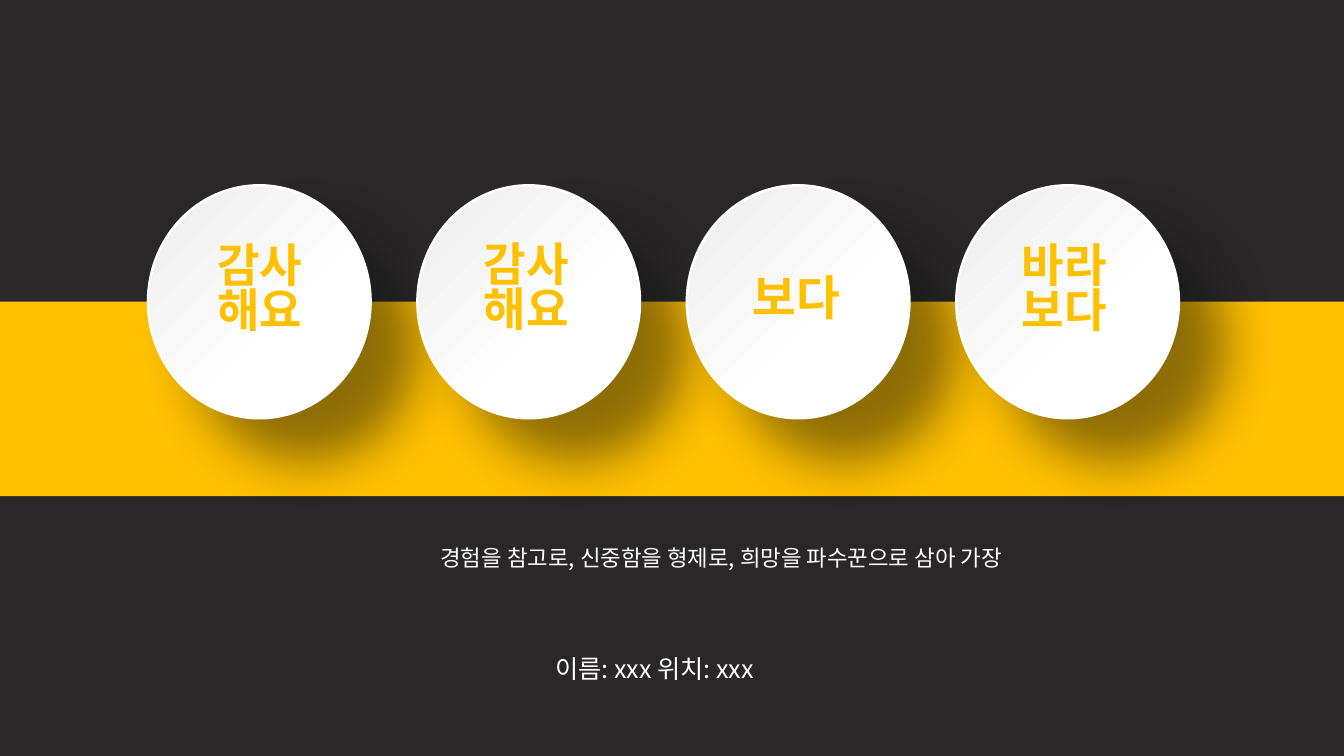
from dataclasses import dataclass

from lxml import etree
from pptx import Presentation
from pptx.dml.color import RGBColor
from pptx.enum.shapes import MSO_SHAPE as Shape
from pptx.enum.text import PP_ALIGN as Align
from pptx.oxml import parse_xml
from pptx.oxml.ns import nsdecls, qn
from pptx.util import Cm, Pt


@dataclass(frozen=True)
class Theme:
    font: str = "Noto Sans CJK KR"
    dark: str = "292727"
    amber: str = "FFC000"
    white: str = "FFFFFF"
    pale: str = "ECECEC"
    shadow: str = "0D0D0D"
    motto_size: float = 16
    signature_size: float = 18
    word_size: float = 33
    short_word_size: float = 34


theme = Theme()


def add_text(text, *, left, top, width, height, size, color=theme.white,
             bold=False, align=Align.LEFT, spacing=1.0):
    frame = slide.shapes.add_textbox(Cm(left), Cm(top), Cm(width), Cm(height)).text_frame
    frame.word_wrap = True
    paragraph = frame.paragraphs[0]
    paragraph.alignment = align
    paragraph.line_spacing = spacing
    run = paragraph.add_run()
    run.text = text
    run.font.name = theme.font
    run.font.size = Pt(size)
    run.font.bold = bold
    run.font.color.rgb = RGBColor.from_string(color)
    east_asian = etree.SubElement(run.font._element, qn("a:ea"))
    east_asian.set("typeface", theme.font)


def add_disc(left, top, width, height):
    disc = slide.shapes.add_shape(Shape.OVAL, Cm(left), Cm(top), Cm(width), Cm(height))
    # White to pale grey, towards the upper left
    stops = "".join(
        f'<a:gs pos="{percent * 1000}"><a:srgbClr val="{color}"/></a:gs>'
        for percent, color in ((0, theme.white), (36, theme.white), (100, theme.pale)))
    disc.line.color.rgb = RGBColor.from_string(theme.white)
    disc.line.width = Pt(1.75)
    outline = disc.line._get_or_add_ln()
    outline.addprevious(parse_xml(
        f'<a:gradFill {nsdecls("a")} rotWithShape="1"><a:gsLst>{stops}</a:gsLst>'
        f'<a:lin ang="{225 * 60000}" scaled="0"/></a:gradFill>'))
    # Soft shadow to the lower right
    outline.addnext(parse_xml(
        f'<a:effectLst {nsdecls("a")}><a:outerShdw blurRad="{Pt(37)}" dist="{Pt(44)}" '
        f'dir="{42 * 60000}" algn="tl" rotWithShape="0"><a:srgbClr val="{theme.shadow}">'
        f'<a:alpha val="45000"/></a:srgbClr></a:outerShdw></a:effectLst>'))


# Slide and background
deck = Presentation()
deck.slide_width, deck.slide_height = Cm(33.87), Cm(19.05)
slide = deck.slides.add_slide(deck.slide_layouts[6])
slide.background.fill.solid()
slide.background.fill.fore_color.rgb = RGBColor.from_string(theme.dark)

# Amber band
band = slide.shapes.add_shape(Shape.ROUNDED_RECTANGLE, Cm(-0.74), Cm(7.6), Cm(35.36), Cm(4.9))
band.adjustments[0] = 0
band.fill.solid()
band.fill.fore_color.rgb = RGBColor.from_string(theme.amber)
band.line.fill.background()
band.shadow.inherit = False

# Motto
add_text("경험을 참고로, 신중함을 형제로, 희망을 파수꾼으로 삼아 가장",
         left=9.35, top=13.59, width=17.65, height=0.94,
         size=theme.motto_size, align=Align.CENTER)

# Four evenly spaced discs
first_disc, disc_step = 3.73, 6.79
for index in range(4):
    add_disc(first_disc + index * disc_step, 4.67, 5.61, 5.87)

# Name and position
add_text("이름: xxx 위치: xxx", left=13.74, top=16.33, width=11, height=1.02,
         size=theme.signature_size)

# Words on the discs
words = [
    ("감사해요", 5.23, 6.07, 3.05, theme.word_size, 0.82),
    ("감사해요", 11.94, 6.05, 3.05, theme.word_size, 0.82),
    ("보다", 18.72, 6.78, 1.7, theme.short_word_size, 0.9),
    ("바라보다", 25.5, 6.07, 3.05, theme.word_size, 0.82),
]
for word, left, top, height, size, spacing in words:
    add_text(word, left=left, top=top, width=2.79, height=height, size=size,
             color=theme.amber, bold=True, spacing=spacing)

deck.save("out.pptx")
